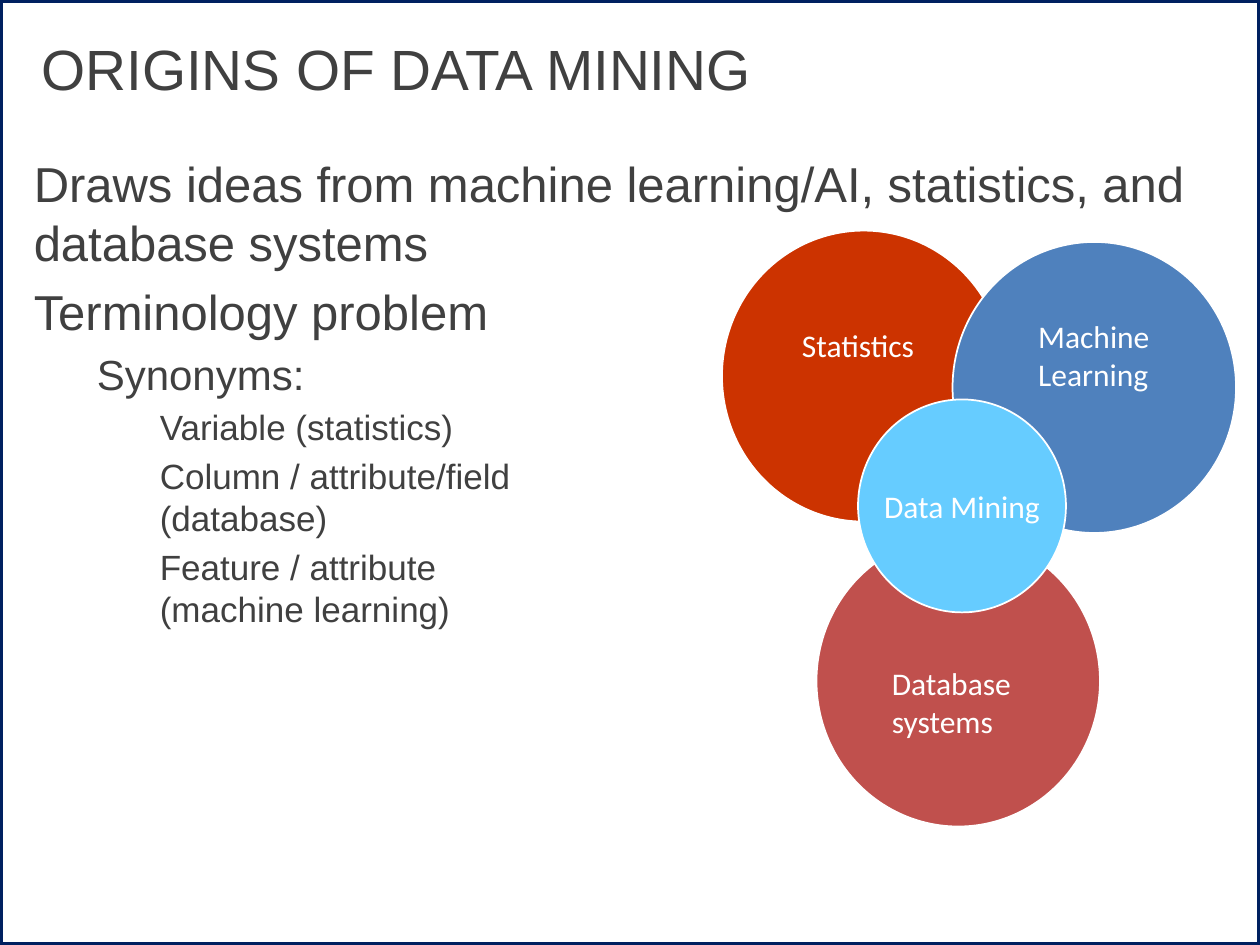
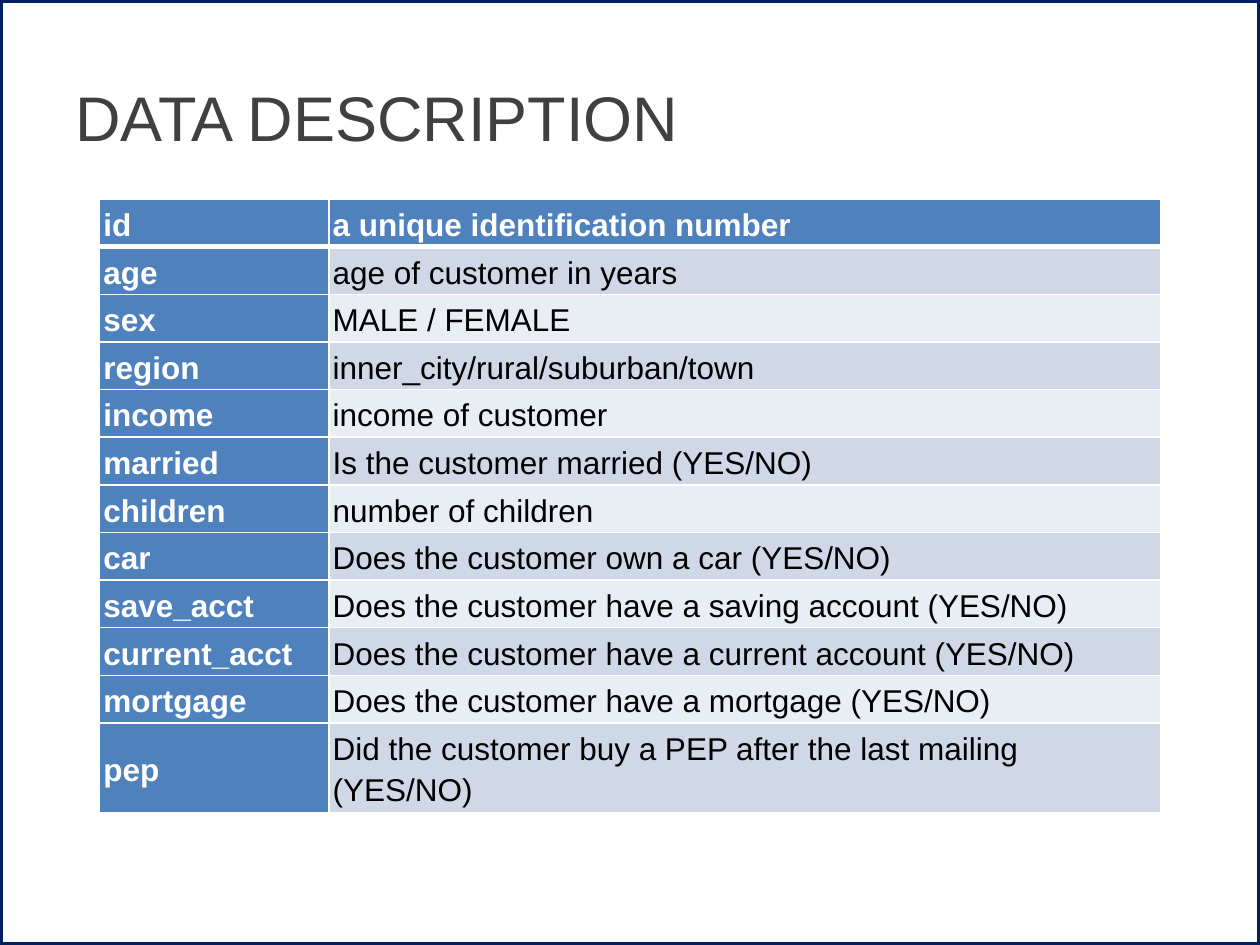
from typing import NamedTuple

from pptx import Presentation
from pptx.dml.color import RGBColor
from pptx.enum.shapes import MSO_SHAPE as Shape
from pptx.enum.text import MSO_ANCHOR as Anchor, PP_ALIGN as Align
from pptx.oxml.ns import qn
from pptx.util import Inches, Pt
from lxml.etree import SubElement

COLORS = {
    "frame": "002060", "text": "404040", "white": "FFFFFF", "black": "000000",
    "blue": "4F81BD", "red": "CC3300", "brick": "C0504D", "sky": "66CCFF",
    "band_dark": "D0D8E8", "band_light": "E9EDF4",
}


class Area(NamedTuple):
    left: float
    top: float
    width: float
    height: float

    def lengths(self) -> list:
        return [Inches(value) for value in self]


class Circle(NamedTuple):
    area: Area
    color: str


class Label(NamedTuple):
    text: str
    area: Area
    align: Align = Align.LEFT
    inset: float = 0.1


class Bullet(NamedTuple):
    text: str
    level: int = 0


TOPIC_SIZE = (2.25, 2.31)
TOPICS = [
    Circle(Area(6.48, 4.25, *TOPIC_SIZE), "brick"),
    Circle(Area(5.73, 1.83, *TOPIC_SIZE), "red"),
    Circle(Area(7.56, 1.92, *TOPIC_SIZE), "blue"),
]
DATA_MINING = Circle(Area(6.81, 3.17, 1.65, 1.69), "sky")
TOPIC_LABELS = [
    Label("Machine\vLearning", Area(8.24, 2.47, 1.57, 0.71), inset=0),
    Label("Statistics", Area(6.06, 2.54, 1.5, 0.4), Align.CENTER),
    Label("Database systems", Area(6.98, 5.22, 1.58, 0.7)),
]
LEVEL_SIZES = (28, 24, 20)
LEVEL_INDENT = 0.5
IDEAS = [
    Bullet("Draws ideas from machine learning/AI, statistics, and database systems"),
    Bullet("Terminology problem"),
    Bullet("Synonyms:", 1),
    Bullet("Variable (statistics)", 2),
    Bullet("Column / attribute/field\v(database)", 2),
    Bullet("Feature / attribute\v(machine learning)", 2),
]
LAST_ROW_HEIGHT = 0.71
FIELDS = [
    ("id", "a unique identification number"),
    ("age", "age of customer in years"),
    ("sex", "MALE / FEMALE"),
    ("region", "inner_city/rural/suburban/town"),
    ("income", "income of customer"),
    ("married", "Is the customer married (YES/NO)"),
    ("children", "number of children"),
    ("car", "Does the customer own a car (YES/NO)"),
    ("save_acct", "Does the customer have a saving account (YES/NO)"),
    ("current_acct", "Does the customer have a current account (YES/NO)"),
    ("mortgage", "Does the customer have a mortgage (YES/NO)"),
    ("pep", "Did the customer buy a PEP after the last mailing (YES/NO)"),
]


def rgb(name: str) -> RGBColor:
    return RGBColor.from_string(COLORS[name])


def style(para, size: float, color: str, face: str = "Arial", bold: bool = False) -> None:
    font = para.font
    font.name, font.size, font.bold = face, Pt(size), bold
    font.color.rgb = rgb(color)


def add_outlined(page, kind: Shape, area: Area, line: str, width: float, fill: str = ""):
    """Add a preset shape; without a fill name it stays hollow."""
    shape = page.shapes.add_shape(kind, *area.lengths())
    shape.shadow.inherit = False
    if fill:
        shape.fill.solid()
        shape.fill.fore_color.rgb = rgb(fill)
    else:
        shape.fill.background()
    shape.line.color.rgb = rgb(line)
    shape.line.width = Pt(width)
    return shape


def add_circle(page, circle: Circle):
    return add_outlined(page, Shape.OVAL, circle.area, "white", 1, circle.color)


def add_text_frame(page, area: Area, inset: float = 0.1):
    frame = page.shapes.add_textbox(*area.lengths()).text_frame
    frame.word_wrap = True
    frame.margin_left = frame.margin_right = Inches(inset)
    return frame


def add_page(deck, title: str, area: Area, size: float, inset: float = 0.1):
    """Add a blank page with the shared frame and title style."""
    page = deck.slides.add_slide(deck.slide_layouts[6])
    add_outlined(page, Shape.RECTANGLE, Area(0, 0, 10, 7.5), "frame", 3.5)
    frame = add_text_frame(page, area, inset)
    frame.vertical_anchor = Anchor.MIDDLE
    frame.text = title
    style(frame.paragraphs[0], size, "text")
    return page


def add_bullets(page, bullets: list[Bullet], area: Area) -> None:
    frame = add_text_frame(page, area)
    for index, bullet in enumerate(bullets):
        para = frame.add_paragraph() if index else frame.paragraphs[0]
        size = LEVEL_SIZES[bullet.level]
        para.text = bullet.text
        para.level = bullet.level
        para._p.get_or_add_pPr().set("marL", str(Inches(LEVEL_INDENT * bullet.level)))
        if index:
            para.space_before = Pt(size * 0.2)
        style(para, size, "text")


def add_label(page, label: Label) -> None:
    frame = add_text_frame(page, label.area, label.inset)
    frame.text = label.text
    frame.paragraphs[0].alignment = label.align
    style(frame.paragraphs[0], 18, "white", "Calibri")


def set_borders(cell, bottom: float) -> None:
    """Draw white borders, 1 point wide except for the bottom one."""
    properties = cell._tc.get_or_add_tcPr()
    for index, (side, width) in enumerate(
            {"lnL": 1, "lnR": 1, "lnT": 1, "lnB": bottom}.items()):
        line = properties.makeelement(qn(f"a:{side}"), {"w": str(Pt(width))})
        fill = SubElement(line, qn("a:solidFill"))
        SubElement(fill, qn("a:srgbClr"), val=COLORS["white"])
        properties.insert(index, line)


def add_field_table(page, fields: list[tuple[str, str]], area: Area) -> None:
    table = page.shapes.add_table(len(fields), 2, *area.lengths()).table
    for column, width in zip(table.columns, (1.82, 6.6)):
        column.width = Inches(width)
    last = len(fields) - 1
    row_height = (area.height - LAST_ROW_HEIGHT) / last
    for row_index, field in enumerate(fields):
        height = LAST_ROW_HEIGHT if row_index == last else row_height
        table.rows[row_index].height = Inches(height)
        for column_index, text in enumerate(field):
            cell = table.cell(row_index, column_index)
            is_head = row_index == 0 or column_index == 0
            band = "band_dark" if row_index % 2 else "band_light"
            cell.fill.solid()
            cell.fill.fore_color.rgb = rgb("blue" if is_head else band)
            cell.vertical_anchor = Anchor.MIDDLE
            cell.margin_left = cell.margin_right = Inches(0.03)
            cell.margin_top = cell.margin_bottom = Inches(0.01)
            set_borders(cell, bottom=1 if row_index else 3)
            cell.text = text
            para = cell.text_frame.paragraphs[0]
            para.line_spacing = 1.15
            style(para, 18, "white" if is_head else "black", bold=is_head)


def build_origins(deck) -> None:
    page = add_page(deck, "ORIGINS OF DATA MINING", Area(0.33, 0.25, 9.06, 0.58), 32.4, 0)
    add_bullets(page, IDEAS, Area(0.17, 1.17, 9.67, 6))
    for topic in TOPICS:
        add_circle(page, topic)
    for label in TOPIC_LABELS:
        add_label(page, label)
    frame = add_circle(page, DATA_MINING).text_frame
    frame.word_wrap = False
    frame.vertical_anchor = Anchor.MIDDLE
    frame.text = "Data Mining"
    frame.paragraphs[0].alignment = Align.CENTER
    style(frame.paragraphs[0], 18, "white", "Calibri")


def build_description(deck) -> None:
    page = add_page(deck, "DATA DESCRIPTION", Area(0.5, 0.3, 9, 1.25), 36)
    add_field_table(page, FIELDS, Area(0.79, 1.58, 8.42, 4.87))


def main() -> None:
    deck = Presentation()
    deck.slide_width, deck.slide_height = Inches(10), Inches(7.5)
    build_origins(deck)
    build_description(deck)
    deck.save("out.pptx")


if __name__ == "__main__":
    main()
